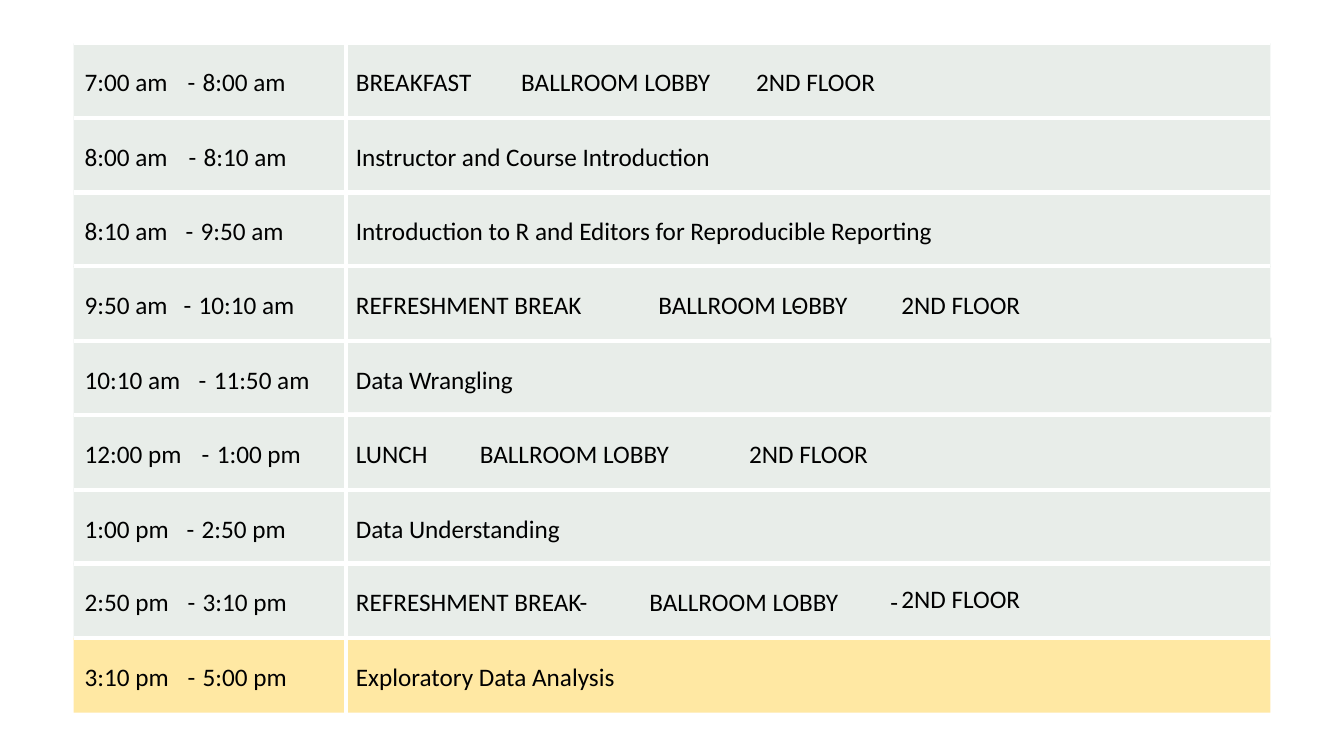
"""Builds a one-slide course timetable with nine time slots."""
import dataclasses

import pptx
import pptx.dml.color
import pptx.enum.shapes
import pptx.enum.text
import pptx.oxml.ns
import pptx.util
from lxml import etree


@dataclasses.dataclass(frozen=True)
class Theme:
    font: str = "Calibri"
    text_size: int = 18
    rule_width: int = 3
    text: str = "000000"
    rule: str = "FFFFFF"
    session: str = "E8EDE9"
    highlight: str = "FFC000"
    highlight_opacity: int = 36


THEME = Theme()
EMU_PER_PX = 9144
TABLE_LEFT, TABLE_TOP, TABLE_RIGHT, TABLE_BOTTOM = 73, 43, 1260, 707
COLUMN_SPLIT = 343
TIME_WIDTH, TOPIC_WIDTH = 269, 917
ROW_HEIGHT = 74
START_LEFT, TOPIC_LEFT = 84, 353
TEXT_INSET, TEXT_HEIGHT = 23, 34
DASH_WIDTH, DASH_TO_END = 19, 15

LABEL_WIDTHS = {
    "BREAKFAST": 167,
    "BALLROOM LOBBY": 247,
    "2ND FLOOR": 154,
    "Instructor and Course Introduction": 394,
    "Introduction to R and Editors for Reproducible Reporting": 644,
    "REFRESHMENT BREAK": 300,
    "Data Wrangling": 183,
    "LUNCH": 104,
    "Data Understanding": 233,
    "Exploratory Data Analysis": 296,
    "-": DASH_WIDTH,
}

SCHEDULE = [
    ("7:00 am", 186, "8:00 am", "BREAKFAST",
     [(517, 0, "BALLROOM LOBBY"), (750, 0, "2ND FLOOR")]),
    ("8:00 am", 187, "8:10 am", "Instructor and Course Introduction", []),
    ("8:10 am", 184, "9:50 am",
     "Introduction to R and Editors for Reproducible Reporting", []),
    ("9:50 am", 182, "10:10 am", "REFRESHMENT BREAK",
     [(653, 0, "BALLROOM LOBBY"), (788, 0, "-"), (894, 0, "2ND FLOOR")]),
    ("10:10 am", 197, "11:50 am", "Data Wrangling", []),
    ("12:00 pm", 200, "1:00 pm", "LUNCH",
     [(476, 0, "BALLROOM LOBBY"), (743, 0, "2ND FLOOR")]),
    ("1:00 pm", 185, "2:50 pm", "Data Understanding", []),
    ("2:50 pm", 186, "3:10 pm", "REFRESHMENT BREAK",
     [(575, 0, "-"), (644, 0, "BALLROOM LOBBY"), (883, 0, "-"),
      (894, -3, "2ND FLOOR")]),
    ("3:10 pm", 186, "5:00 pm", "Exploratory Data Analysis", []),
]
SHIFTED_TOPIC_ROW = 4


def px(length):
    return pptx.util.Emu(length * EMU_PER_PX)


def color(value):
    return pptx.dml.color.RGBColor.from_string(value)


def row_top(index):
    return TABLE_TOP + (index * 295 + 2) // 4


def add_cell(slide, left, top, width, fill, opacity=100):
    shape = slide.shapes.add_shape(
        pptx.enum.shapes.MSO_SHAPE.RECTANGLE,
        px(left), px(top), px(width), px(ROW_HEIGHT))
    shape.shadow.inherit = False
    shape.fill.solid()
    shape.fill.fore_color.rgb = color(fill)
    shape.line.fill.background()
    if opacity < 100:
        tint = shape.fill._xPr.find(".//" + pptx.oxml.ns.qn("a:srgbClr"))
        etree.SubElement(tint, pptx.oxml.ns.qn("a:alpha"), val=str(opacity * 1000))


def add_rule(slide, left, top, right, bottom):
    connector = slide.shapes.add_connector(
        pptx.enum.shapes.MSO_CONNECTOR.STRAIGHT,
        px(left), px(top), px(right), px(bottom))
    connector.line.color.rgb = color(THEME.rule)
    connector.line.width = pptx.util.Pt(THEME.rule_width)
    etree.SubElement(connector._element.spPr, pptx.oxml.ns.qn("a:effectLst"))


def add_text(slide, text, *, left, top, width, size=THEME.text_size, fill=THEME.text):
    shape = slide.shapes.add_textbox(px(left), px(top), px(width), px(TEXT_HEIGHT))
    frame = shape.text_frame
    frame.margin_left = frame.margin_right = frame.margin_top = frame.margin_bottom = 0
    frame.word_wrap = False
    frame.auto_size = pptx.enum.text.MSO_AUTO_SIZE.SHAPE_TO_FIT_TEXT
    paragraph = frame.paragraphs[0]
    run = paragraph.add_run()
    run.text = text
    run.font.name = THEME.font
    run.font.size = pptx.util.Pt(size)
    run.font.color.rgb = color(fill)


def add_row_cells(slide, index):
    top = row_top(index)
    last = index == len(SCHEDULE) - 1
    fill = THEME.highlight if last else THEME.session
    opacity = THEME.highlight_opacity if last else 100
    shifted = index == SHIFTED_TOPIC_ROW
    add_cell(slide, TABLE_LEFT, top, TIME_WIDTH, fill, opacity)
    add_cell(slide, COLUMN_SPLIT + shifted, top - 3 * shifted, TOPIC_WIDTH, fill, opacity)


def add_row_text(slide, index, start, dash_left, end, topic, details):
    top = row_top(index) + TEXT_INSET
    long_time = 14
    add_text(slide, start, left=START_LEFT, top=top,
             width=108 + long_time * (len(start) - 7))
    add_text(slide, "-", left=dash_left, top=top, width=DASH_WIDTH)
    add_text(slide, end, left=dash_left + DASH_TO_END, top=top,
             width=101 + long_time * (len(end) - 7))
    for left, shift, label in [(TOPIC_LEFT, 0, topic), *details]:
        add_text(slide, label, left=left, top=top + shift, width=LABEL_WIDTHS[label])


def main():
    presentation = pptx.Presentation()
    presentation.slide_width, presentation.slide_height = px(1333), px(750)
    slide = presentation.slides.add_slide(presentation.slide_layouts[6])
    for index in range(len(SCHEDULE)):
        add_row_cells(slide, index)
    add_rule(slide, COLUMN_SPLIT, TABLE_TOP - 2, COLUMN_SPLIT, TABLE_BOTTOM)
    for index in range(len(SCHEDULE)):
        add_rule(slide, TABLE_LEFT, row_top(index), TABLE_RIGHT, row_top(index))
    for index, session in enumerate(SCHEDULE):
        add_row_text(slide, index, *session)
    presentation.save("out.pptx")


if __name__ == "__main__":
    main()
